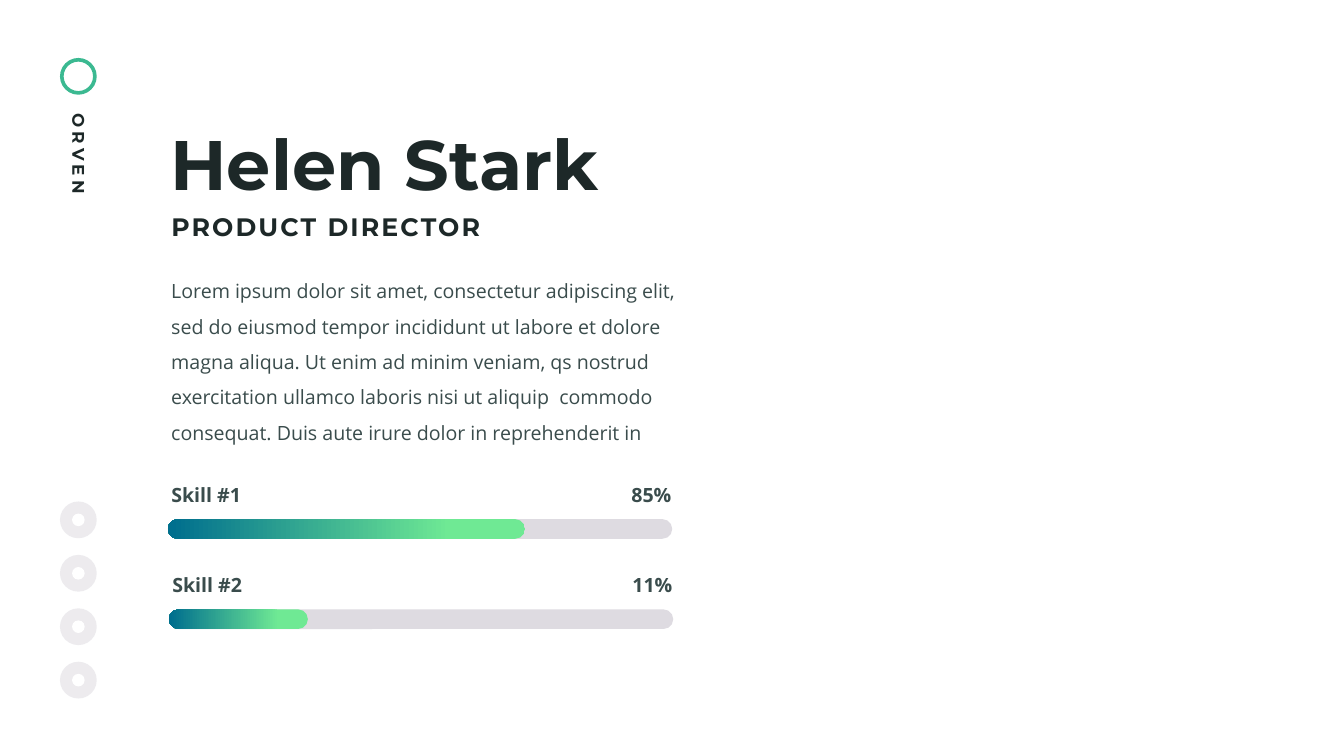
from pptx import Presentation
from pptx import util as u
from pptx.dml.color import RGBColor
from pptx.enum import shapes, text
from pptx.oxml.ns import qn
from lxml import etree

PX = u.Inches(1) // 100  # 100 px to the inch

INK = RGBColor(0x1D, 0x28, 0x28)
BODY = RGBColor(0x3A, 0x4C, 0x4C)
GREY = RGBColor(0xDE, 0xDB, 0xE1)
WHITE = RGBColor(0xFF, 0xFF, 0xFF)
EMBLEM = RGBColor(0x3B, 0xB9, 0x91)
LIME = RGBColor(0x6F, 0xE9, 0x94)
TEAL = RGBColor(0x00, 0x6F, 0x8E)

HEADING_FONT = "Montserrat"
BODY_FONT = "Open Sans"
OVAL = shapes.MSO_SHAPE.OVAL


class ProfileSlide:
    """Holds the current slide and draws its elements; lengths are in px."""

    def __init__(self, slide):
        self.slide = slide

    def shape(self, kind, box, color, alpha=None):
        shape = self.slide.shapes.add_shape(kind, *(n * PX for n in box))
        shape.shadow.inherit = False
        shape.line.fill.background()
        shape.fill.solid()
        shape.fill.fore_color.rgb = color
        if alpha is not None:
            fill_color = shape.fill._xPr.find(".//" + qn("a:srgbClr"))
            etree.SubElement(fill_color, qn("a:alpha"), val=str(alpha * 1000))
        return shape

    def bar(self, box, color):
        shape = self.shape(shapes.MSO_SHAPE.ROUNDED_RECTANGLE, box, color)
        shape.adjustments[0] = 0.5
        return shape

    def gradient_bar(self, box):
        fill = self.bar(box, LIME).fill
        fill.gradient()
        fill.gradient_angle = 180
        for stop, position, color in zip(fill.gradient_stops, (0.21, 0.99), (LIME, TEAL)):
            stop.position = position
            stop.color.rgb = color

    def text(self, box, words, size, font=BODY_FONT, color=BODY, bold=True,
             line_spacing=None, tracking=0, side_inset=10, align=text.PP_ALIGN.LEFT):
        shape = self.slide.shapes.add_textbox(*(n * PX for n in box))
        frame = shape.text_frame
        frame.word_wrap = True
        frame.auto_size = text.MSO_AUTO_SIZE.SHAPE_TO_FIT_TEXT
        frame.margin_left = frame.margin_right = side_inset * PX
        frame.margin_top = frame.margin_bottom = 5 * PX
        paragraph = frame.paragraphs[0]
        paragraph.alignment = align
        paragraph.line_spacing = line_spacing
        run = paragraph.add_run()
        run.text = words
        run.font.name = font
        run.font.size = u.Pt(size)
        run.font.bold = bold
        run.font.color.rgb = color
        if tracking:
            run._r.get_or_add_rPr().set("spc", str(tracking * 100))
        return shape

    def heading(self, box, words, size, **style):
        return self.text(box, words, size, HEADING_FONT, INK, side_inset=5, **style)

    def skill(self, left, top, name, percent, filled):
        label_style = dict(size=28, line_spacing=1.5)
        self.bar((left, top + 100, 1001, 39), GREY)
        self.gradient_bar((left, top + 100, filled, 39))
        self.text((left - 3, top, 175, 73), name, **label_style)
        self.text((left + 834, top, 175, 73), percent,
                  align=text.PP_ALIGN.RIGHT, **label_style)


def main():
    presentation = Presentation()
    presentation.slide_width = 2667 * PX
    presentation.slide_height = 1500 * PX
    page = ProfileSlide(presentation.slides.add_slide(presentation.slide_layouts[6]))

    # Side strip: emblem and upright name
    emblem = page.shape(shapes.MSO_SHAPE.DONUT, (119, 115, 73, 73), EMBLEM)
    emblem.adjustments[0] = 0.1
    name = page.heading((52, 299, 205, 46), "ORVEN", 24, line_spacing=0.9, tracking=6)
    name.rotation = 90

    # Side strip: social buttons, each with a plain dot
    for row in range(4):
        top = 995 + row * 106
        page.shape(OVAL, (119, top, 73, 73), GREY, alpha=54)
        page.shape(OVAL, (143, top + 24, 25, 25), WHITE)

    # Person
    page.heading((333, 235, 886, 178), "Helen Stark", 100)
    page.heading((335, 414, 798, 71), "PRODUCT DIRECTOR", 36, tracking=3)
    page.text(
        (330, 526, 1026, 356),
        "Lorem ipsum dolor sit amet, consectetur adipiscing elit, sed do eiusmod "
        "tempor incididunt ut labore et dolore magna aliqua. Ut enim ad minim veniam, "
        "qs nostrud exercitation ullamco laboris nisi ut aliquip  commodo consequat. "
        "Duis aute irure dolor in reprehenderit in",
        28, bold=False, line_spacing=1.5)

    # Skills
    page.skill(333, 930, "Skill #1", "85%", filled=709)
    page.skill(335, 1109, "Skill #2", "11%", filled=276)

    presentation.save("out.pptx")


if __name__ == "__main__":
    main()
